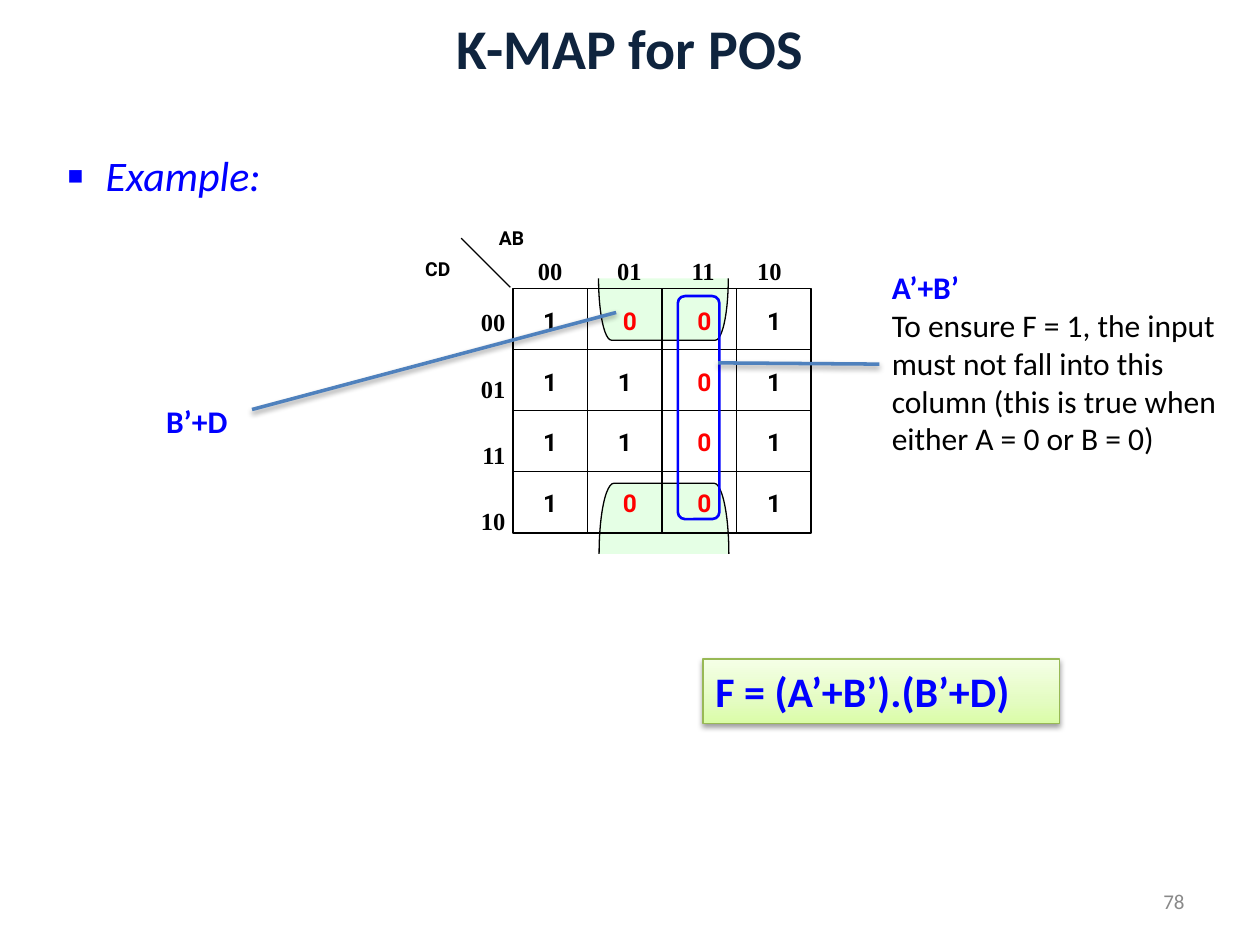
import copy

import pptx
import pptx.dml.color
import pptx.enum.shapes
import pptx.enum.text
import pptx.oxml.ns
import pptx.util

SHAPES = pptx.enum.shapes.MSO_SHAPE
ALIGN = pptx.enum.text.PP_ALIGN
qn = pptx.oxml.ns.qn

UNIT = 0.25  # inches per column and per row: 40 columns by 30 rows
BLACK, BLUE, RED, STEEL = "000000", "0000FF", "FF0000", "4F81BD"

STYLES = {
    "title": {"name": "Calibri", "size": 32, "bold": True, "color": "0F243E"},
    "bullet": {"name": "Calibri", "size": 24, "italic": True, "color": BLUE},
    "formula": {"name": "Calibri", "size": 24, "bold": True, "color": BLUE},
    "term": {"name": "Calibri", "size": 18, "bold": True, "color": BLUE},
    "note": {"name": "Calibri", "size": 18, "color": BLACK},
    "page": {"name": "Calibri", "size": 12, "color": "898989"},
    "axis": {"name": "Times New Roman", "size": 14, "bold": True, "color": BLACK},
    "variable": {"name": "Roboto", "size": 11, "bold": True, "color": BLACK},
    "one": {"name": "Roboto", "size": 14, "bold": True, "color": BLACK},
    "zero": {"name": "Roboto", "size": 14, "bold": True, "color": RED},
}

MAP_LEFT, MAP_TOP = 16.28, 9.16
CELL_WIDTH, CELL_HEIGHT = 2.37, 1.94
MAP_VALUES = ["1001", "1101", "1101", "1001"]


def rgb(value):
    return pptx.dml.color.RGBColor.from_string(value)


def length(units):
    return pptx.util.Inches(units * UNIT)


def add_xml(parent, tag, **attributes):
    child = parent.makeelement(qn(tag), attributes)
    parent.append(child)
    return child


class SlideBuilder:
    """Places elements on one slide, in columns and rows of the grid."""

    def __init__(self, slide, styles):
        self.slide = slide
        self.styles = styles

    def format_font(self, font, style):
        values = dict(self.styles[style])
        font.color.rgb = rgb(values.pop("color"))
        values["size"] = pptx.util.Pt(values["size"])
        for attribute, value in values.items():
            setattr(font, attribute, value)

    def fill_text(self, frame, lines, align=ALIGN.LEFT, space_after=0):
        """Fill a text frame from (text, style) pairs."""
        for index, (text, style) in enumerate(lines):
            paragraph = frame.add_paragraph() if index else frame.paragraphs[0]
            run = paragraph.add_run()
            run.text = text
            paragraph.alignment = align
            paragraph.space_after = pptx.util.Pt(space_after)
            self.format_font(run.font, style)

    def text(self, box, lines, align=ALIGN.LEFT, wrap=True, middle=False, space_after=0):
        """Add a text box and return its first paragraph."""
        shape = self.slide.shapes.add_textbox(*map(length, box))
        frame = shape.text_frame
        frame.word_wrap = wrap
        if middle:
            frame.vertical_anchor = pptx.enum.text.MSO_ANCHOR.MIDDLE
        self.fill_text(frame, lines, align, space_after)
        return frame.paragraphs[0]

    def shape(self, kind, box, line_color, line_width=0.75, adjustment=None, rotation=0):
        shape = self.slide.shapes.add_shape(kind, *map(length, box))
        shape.shadow.inherit = False
        shape.fill.background()
        shape.line.color.rgb = rgb(line_color)
        shape.line.width = pptx.util.Pt(line_width)
        shape.rotation = rotation
        if adjustment is not None:
            shape.adjustments[0] = adjustment
        return shape

    def loop(self, box, rotation):
        """Half of the green group that wraps round the map's edge."""
        shape = self.shape(SHAPES.RIGHT_BRACKET, box, BLACK, adjustment=0.21, rotation=rotation)
        shape.fill.solid()
        shape.fill.fore_color.rgb = rgb("CCFFCC")
        color = shape.element.spPr.find(qn("a:solidFill"))[0]
        add_xml(color, "a:alpha", val="50000")

    def line(self, start, end, color=BLACK, width=0.75, shadow=False):
        connector = self.slide.shapes.add_connector(
            pptx.enum.shapes.MSO_CONNECTOR.STRAIGHT, *map(length, start + end))
        connector.line.color.rgb = rgb(color)
        connector.line.width = pptx.util.Pt(width)
        effects = add_xml(connector.element.spPr, "a:effectLst")
        if shadow:
            self.drop_shadow(effects)

    def drop_shadow(self, effects):
        outer = add_xml(effects, "a:outerShdw", blurRad="40000", dist="20000",
                        dir="5400000", rotWithShape="0")
        add_xml(add_xml(outer, "a:srgbClr", val=BLACK), "a:alpha", val="38000")

    def formula(self, box, text):
        shape = self.shape(SHAPES.RECTANGLE, box, "98B955")
        shape.fill.gradient()
        shape.fill.gradient_angle = 90
        stop_list = shape.element.spPr.find(".//" + qn("a:gsLst"))
        stop_list.insert(1, copy.deepcopy(stop_list[0]))
        stops = [(0, "DAFDA7"), (0.35, "E4FCC2"), (1, "F5FFE7")]
        for stop, (position, color) in zip(shape.fill.gradient_stops, stops):
            stop.position = position
            stop.color.rgb = rgb(color)
        self.drop_shadow(shape.element.spPr.find(qn("a:effectLst")))
        self.fill_text(shape.text_frame, [(text, "formula")])

    def bullet(self, box, text):
        paragraph = self.text(box, [(text, "bullet")])
        properties = paragraph._p.get_or_add_pPr()
        indent = length(1.24)
        properties.set("marL", str(indent))
        properties.set("indent", str(-indent))
        add_xml(properties, "a:buSzPct", val="120000")
        add_xml(properties, "a:buFont", typeface="Arial")
        add_xml(properties, "a:buChar", char="▪")

    def column_labels(self, box, labels, stops):
        paragraph = self.text(box, [("\t".join(labels), "axis")])
        tabs = add_xml(paragraph._p.get_or_add_pPr(), "a:tabLst")
        for stop in stops:
            add_xml(tabs, "a:tab", pos=str(length(stop)), algn="l")

    def karnaugh_map(self):
        count = len(MAP_VALUES)
        width, height = count * CELL_WIDTH, count * CELL_HEIGHT
        right, bottom = MAP_LEFT + width, MAP_TOP + height
        self.shape(SHAPES.RECTANGLE, (MAP_LEFT, MAP_TOP, width, height), BLACK, 1)
        for index in range(1, count):
            x, y = MAP_LEFT + index * CELL_WIDTH, MAP_TOP + index * CELL_HEIGHT
            self.line((MAP_LEFT, y), (right, y))
            self.line((x, MAP_TOP), (x, bottom))
        for row, values in enumerate(MAP_VALUES):
            for column, value in enumerate(values):
                shift = 0.16 if value == "0" else 0
                box = (MAP_LEFT + column * CELL_WIDTH + shift,
                       MAP_TOP + 0.36 + row * 1.92, CELL_WIDTH, 1.56)
                self.text(box, [(value, "zero" if value == "0" else "one")], ALIGN.CENTER)


def main():
    presentation = pptx.Presentation()
    presentation.slide_width = length(40)
    presentation.slide_height = length(30)
    builder = SlideBuilder(presentation.slides.add_slide(presentation.slide_layouts[6]), STYLES)

    builder.text((0, 0, 40, 3), [("K-MAP for POS", "title")], ALIGN.CENTER, middle=True)
    builder.text((28.68, 27.8, 9.32, 1.6), [("78", "page")], ALIGN.RIGHT, middle=True)
    builder.bullet((1.72, 4.56, 32.96, 2.04), "Example:")

    builder.loop((19.96, 14.4, 2.24, 4.12), 270)
    builder.loop((20.08, 7.76, 1.96, 4.12), 90)
    builder.karnaugh_map()
    codes = ("00", "01", "11", "10")
    builder.text((14.4, 9.56, 2.04, 8.04), [(code, "axis") for code in codes],
                 ALIGN.RIGHT, space_after=21)
    builder.column_labels((16.68, 7.92, 8.84, 1.56), codes, (2.52, 4.88, 6.96))
    builder.line((16.2, 9.12), (14.64, 7.56))
    builder.text((12.24, 7.96, 3.32, 1.32), [("CD", "variable")], ALIGN.CENTER)
    builder.text((14.88, 7, 2.72, 1.32), [("AB", "variable")], ALIGN.CENTER)
    builder.shape(SHAPES.ROUNDED_RECTANGLE, (21.52, 9.4, 1.32, 7.08), BLUE, 1.5, 0.17)

    builder.line((19.56, 9.92), (8, 13), STEEL, 2, shadow=True)
    builder.text((4.88, 12.56, 2.76, 1.6), [("B’+D", "term")], wrap=False)
    explanation = ["To ensure F = 1, the input", "must not fall into this",
                   "column (this is true when", "either A = 0 or B = 0)"]
    builder.text((27.92, 8.32, 11.48, 6.48),
                 [("A’+B’", "term")] + [(line, "note") for line in explanation], wrap=False)
    builder.line((27.92, 11.56), (22.8, 11.52), STEEL, 2, shadow=True)
    builder.formula((22.32, 20.92, 11.32, 2.04), "F = (A’+B’).(B’+D)")
    presentation.save("out.pptx")


if __name__ == "__main__":
    main()
